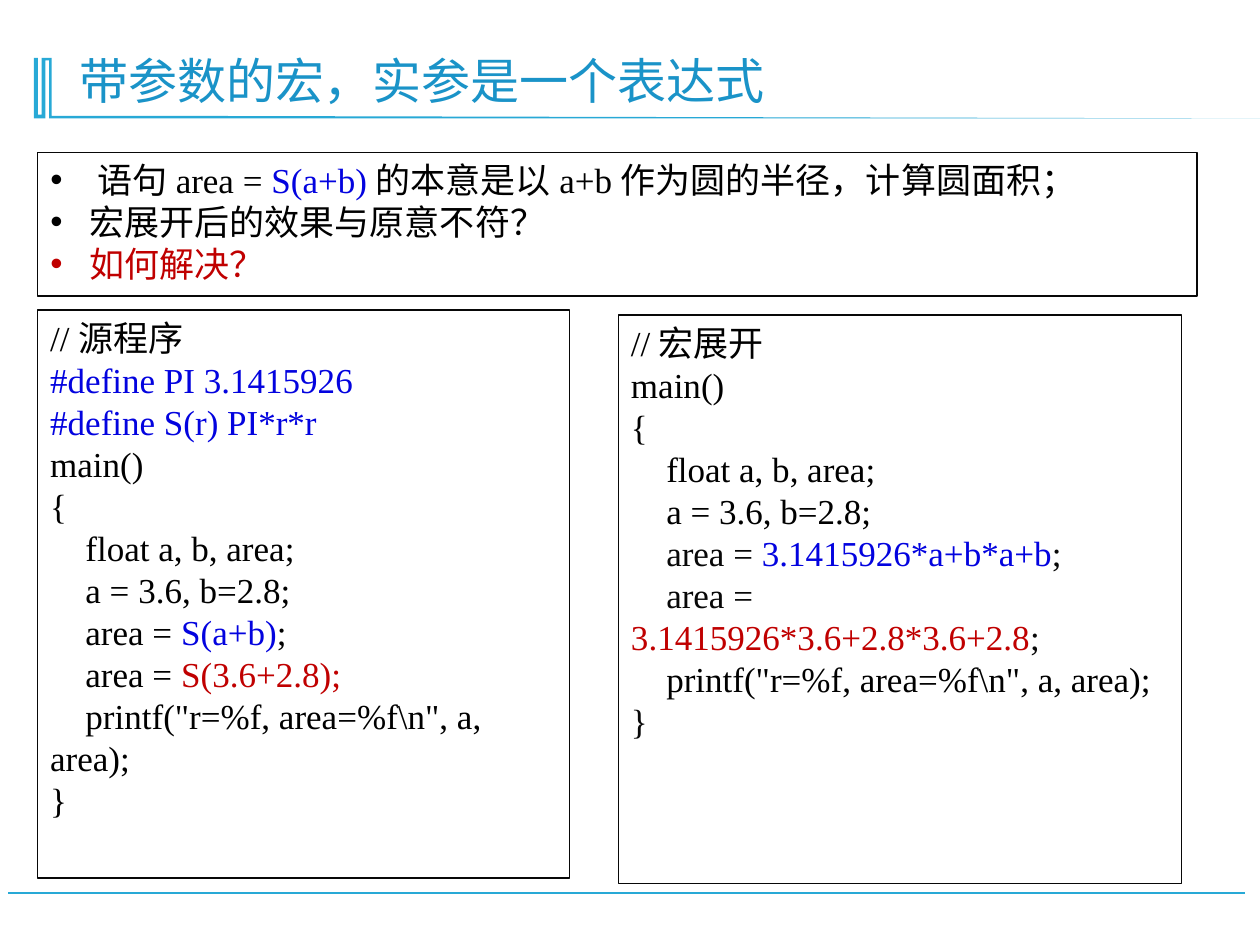
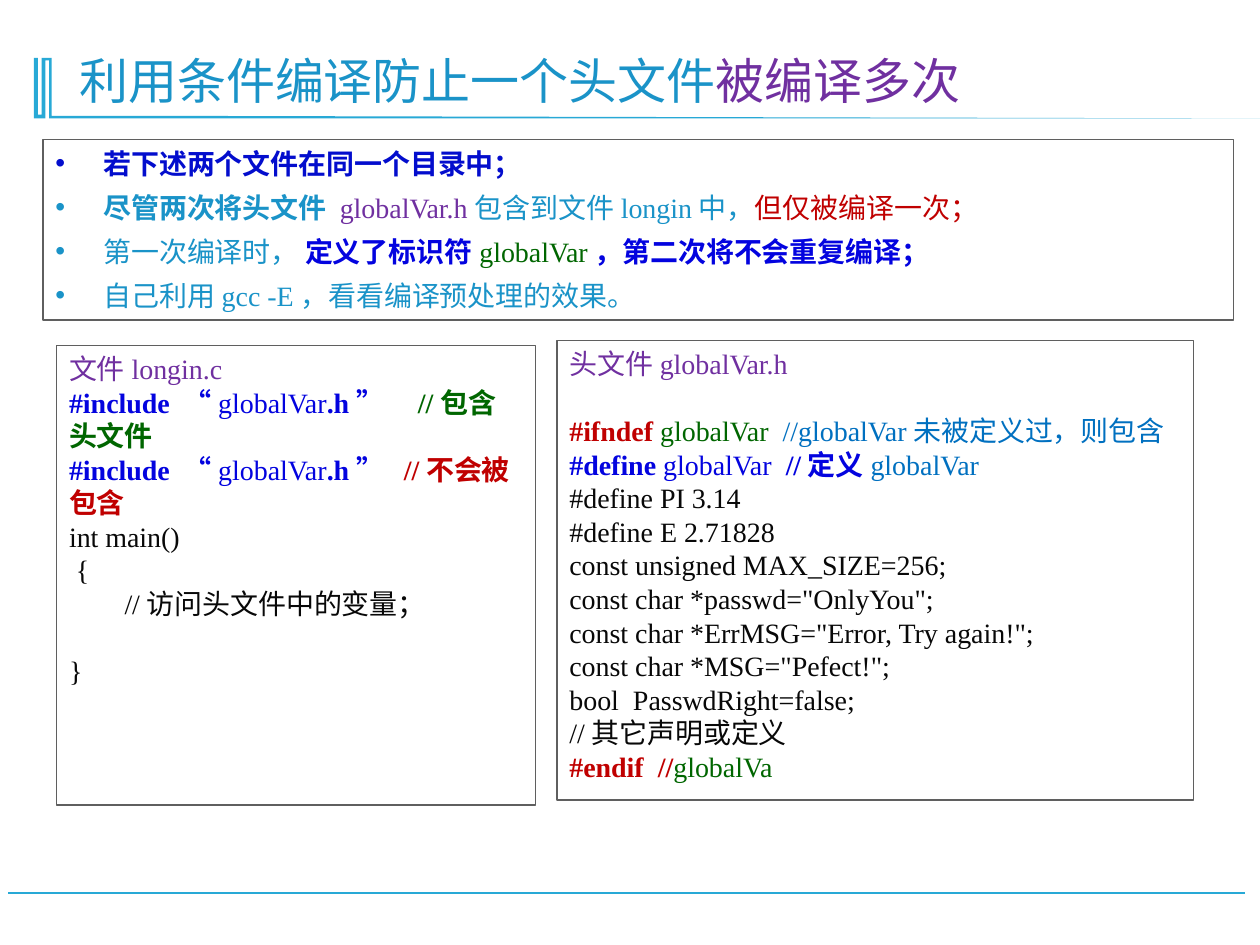
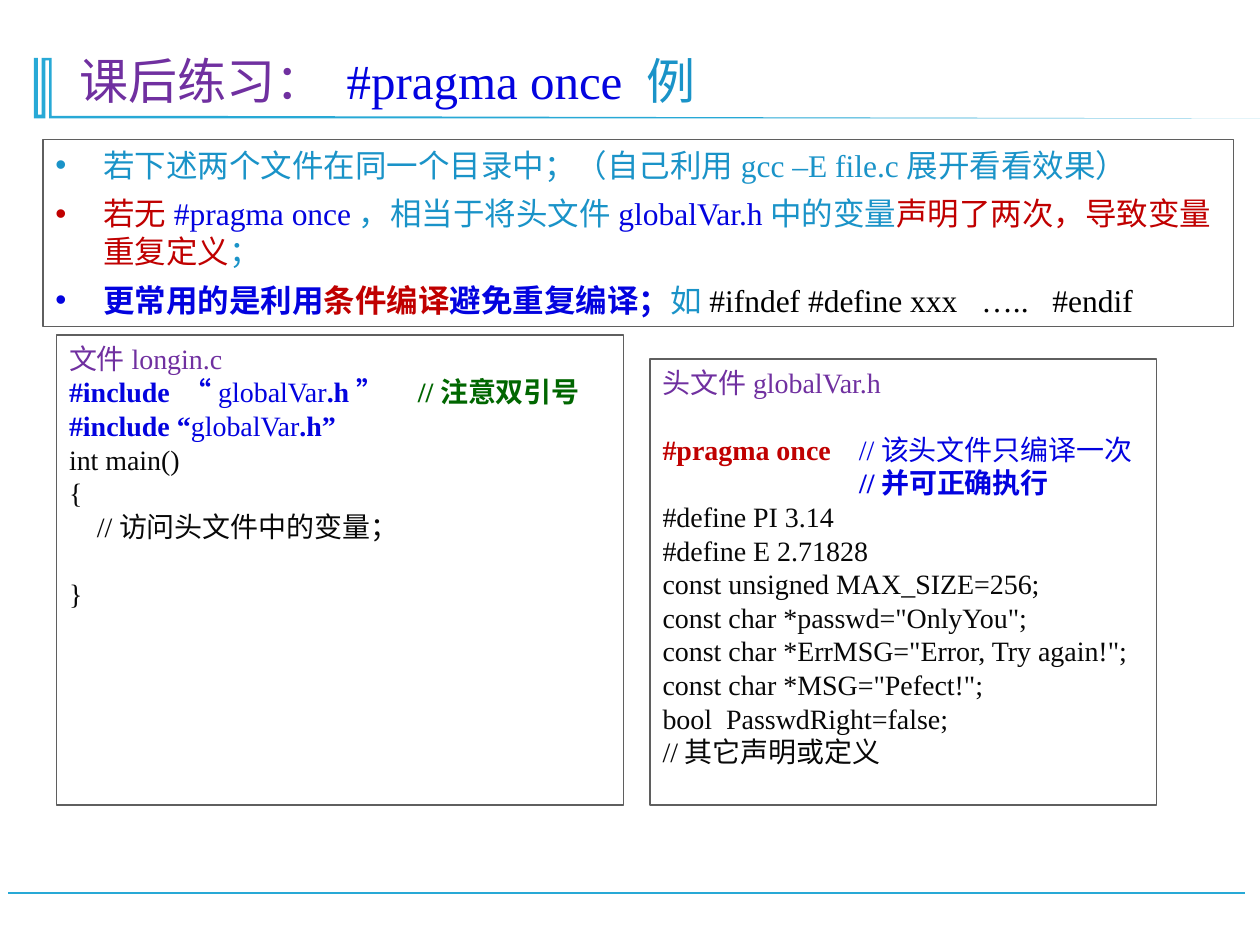
from dataclasses import dataclass

from lxml.etree import SubElement
from pptx import Presentation
from pptx.dml.color import RGBColor as RGB
from pptx.enum.lang import MSO_LANGUAGE_ID as LANG
from pptx.enum.shapes import MSO_CONNECTOR as CONN, MSO_SHAPE as SHAPE
from pptx.enum.text import MSO_ANCHOR as ANCHOR, MSO_AUTO_SIZE as AUTO, PP_ALIGN as ALIGN
from pptx.oxml.ns import qn
from pptx.util import Emu, Inches, Pt

SLIDE_W, SLIDE_H = Inches(10), Inches(7.5)
COLS, ROWS = 100, 75
FONT = "Times New Roman"

TEAL = RGB(0x28, 0xA9, 0xD6)
SKY = RGB(0x1A, 0x93, 0xC8)
BLUE = RGB(0x03, 0x03, 0xDF)
NAVY = RGB(0x03, 0x0D, 0xCD)
AZURE = RGB(0x00, 0x70, 0xC0)
RED = RGB(0xC0, 0x00, 0x00)
GREEN = RGB(0x00, 0x66, 0x00)
PURPLE = RGB(0x70, 0x30, 0xA0)
BLACK = RGB(0x00, 0x00, 0x00)
INK = RGB(0x08, 0x08, 0x08)
GRAY = RGB(0x5F, 0x5F, 0x5F)

BAND = [(41, 46), (41, 92), (140, 92), (1000, 94), (39, 94), (39, 48), (36, 48),
        (36, 94), (27, 94), (27, 46), (30, 46), (30, 91), (33, 91), (33, 46)]
BLANK_LINE = 19.2
SPACE_WIDTH = 0.25


@dataclass
class Para:
    runs: tuple
    indent: float = 0
    hang: float = 0
    before: float = 0


def line(*runs, **layout):
    return Para(runs, **layout)


def code(color, *texts, **layout):
    return [line((t, color), **layout) for t in texts]


def gap(widths, color):
    return " ", color, False, widths


def col(n):
    return Emu(round(SLIDE_W * n / COLS))


def row(n):
    return Emu(round(SLIDE_H * n / ROWS))


def place(sp, x, y, w, h):
    sp.left, sp.top, sp.width, sp.height = col(x), row(y), col(w), row(h)


def add_run(p, size, text, color, bold=False, widths=1):
    r = p.add_run()
    r.text = text
    f = r.font
    f.name, f.size, f.bold = FONT, Pt(size), bold
    f.language_id = LANG.SIMPLIFIED_CHINESE
    f.color.rgb = color
    if widths > 1:
        extra = (widths - 1) * SPACE_WIDTH * size
        r._r.get_or_add_rPr().set("spc", str(round(extra * 100)))


def format_para(p, para):
    p.alignment = ALIGN.LEFT
    p.space_before = Pt(para.before)
    pPr = p._p.get_or_add_pPr()
    pPr.set("marL", str(Inches(para.hang)))
    pPr.set("indent", str(Inches(para.indent - para.hang)))
    if para.hang:
        SubElement(pPr, qn("a:buFont"), typeface="Arial")
        SubElement(pPr, qn("a:buChar"), char="•")
    else:
        SubElement(pPr, qn("a:buNone"))


def write(sp, paras, size, anchor=ANCHOR.TOP):
    tf = sp.text_frame
    tf.word_wrap, tf.auto_size, tf.vertical_anchor = True, AUTO.NONE, anchor
    for i, para in enumerate(paras):
        p = tf.add_paragraph() if i else tf.paragraphs[0]
        format_para(p, para)
        for run in para.runs:
            add_run(p, size, *run)


def outline(sp, color):
    sp.fill.background()
    sp.line.color.rgb = color
    sp.line.width = Pt(0.75)


def add_title(s, *runs):
    sp = s.shapes.title
    place(sp, 5.3, 2.8, 88.5, 6.4)
    write(sp, [line(*runs)], 28, ANCHOR.BOTTOM)
    sp.text_frame.paragraphs[0].line_spacing = 0.9


def add_list(s, box, border, size, items, hang=0.38, before=6):
    sp = s.placeholders[1]
    place(sp, *box)
    outline(sp, border)
    write(sp, [line(*runs, hang=hang, before=before) for runs in items], size)


def add_panel(s, box, border, size, paras):
    sp = s.shapes.add_shape(SHAPE.RECTANGLE, 0, 0, 0, 0)
    sp.shadow.inherit = False
    place(sp, *box)
    outline(sp, border)
    write(sp, paras, size)


def move_to_layout(layout, sp, number):
    sp.element.xpath(".//p:cNvPr")[0].set("id", str(number))
    layout.shapes.element.append(sp.element)


def decorate(layout, s):
    rule = s.shapes.add_connector(CONN.STRAIGHT, col(98.8), row(70.9), col(0.6), row(70.9))
    rule.line.color.rgb = TEAL
    rule.line.width = Pt(1.25)
    SubElement(rule.element.spPr, qn("a:effectLst"))
    builder = s.shapes.build_freeform(*BAND[0], scale=Inches(0.01))
    builder.add_line_segments(BAND[1:], close=True)
    band = builder.convert_to_shape()
    band.shadow.inherit = False
    band.fill.solid()
    band.fill.fore_color.rgb = TEAL
    band.line.fill.background()
    for number, sp in enumerate((rule, band), 101):
        move_to_layout(layout, sp, number)


def include(*comment):
    return line(("#include “", BLUE, True), ("globalVar", BLUE),
                (".h”", BLUE, True), *comment)


def main_function(brace, indent):
    return [*code(INK, "int main()", brace),
            line(("//访问头文件中的变量；", INK), indent=indent),
            line(("}", INK), before=BLANK_LINE)]


def header_body():
    return [*code(INK, "#define PI 3.14", "#define E 2.71828",
                  "const unsigned MAX_SIZE=256;", 'const char *passwd="OnlyYou";',
                  'const char *ErrMSG="Error, Try again!";', 'const char *MSG="Pefect!";'),
            line(("bool", INK), gap(2, INK), ("PasswdRight=false;", INK)),
            *code(INK, "//其它声明或定义")]


def macro_slide(s):
    add_title(s, ("带参数的宏，实参是一个表达式", SKY))
    add_list(s, (3, 12.1, 92, 11.4), INK, 20, [
        [(" 语句area = ", BLACK), ("S(a+b)", BLUE),
         ("的本意是以a+b作为圆的半径，计算圆面积；", BLACK)],
        [("宏展开后的效果与原意不符？", BLACK)],
        [("如何解决？", RED)]], hang=0.31, before=0)
    step = 0.28
    declarations = code(BLACK, "float a, b, area;", "a = 3.6, b=2.8;", indent=step)
    output = line(('printf("r=%f, area=%f\\n", a, area);', BLACK), indent=step)
    add_panel(s, (3, 24.6, 42.2, 45.1), INK, 20, [
        *code(BLACK, "//源程序"),
        *code(BLUE, "#define PI 3.1415926", "#define S(r) PI*r*r"),
        *code(BLACK, "main()", "{"),
        *declarations,
        line(("area = ", BLACK), ("S(a+b)", BLUE), (";", BLACK), indent=step),
        line(("area = ", BLACK), ("S(3.6+2.8);", RED), indent=step),
        output,
        *code(BLACK, "}")])
    add_panel(s, (49.1, 25, 44.7, 45.1), INK, 20, [
        *code(BLACK, "//宏展开", "main()", "{"),
        *declarations,
        line(("area = ", INK), ("3.1415926*a+b*a+b", BLUE), (";", INK), indent=step),
        line(("area = ", INK), ("3.1415926*3.6+2.8*3.6+2.8", RED), (";", INK), indent=step),
        output,
        *code(INK, "}")])


def conditional_slide(s):
    add_title(s, ("利用条件编译防止一个头文件", SKY), ("被编译多次", PURPLE))
    add_list(s, (3.4, 11.1, 94.5, 14.3), GRAY, 16, [
        [("若下述两个文件在同一个目录中；", NAVY, True)],
        [("尽管两次将头文件 ", SKY, True), ("globalVar.h", PURPLE),
         ("包含到文件longin中，", SKY), ("但仅被编译一次；", RED)],
        [("第一次编译时， ", SKY), ("定义了标识符", BLUE, True),
         ("globalVar", GREEN), ("，第二次将不会重复编译；", BLUE, True)],
        [("自己利用gcc -E，看看编译预处理的效果。", SKY)]])
    add_panel(s, (44.2, 27, 50.5, 36.5), GRAY, 16, [
        *code(PURPLE, "头文件globalVar.h"),
        line(("#ifndef ", RED, True), ("globalVar", GREEN), gap(2, GREEN),
             ("//globalVar未被定义过，则包含", AZURE), before=BLANK_LINE),
        line(("#define ", BLUE, True), ("globalVar", BLUE), gap(2, BLUE),
             ("//定义", BLUE, True), ("globalVar", AZURE)),
        *header_body(),
        line(("#endif", RED, True), gap(2, RED), ("//", RED, True), ("globalVa", GREEN))])
    add_panel(s, (4.5, 27.4, 38, 36.5), GRAY, 16, [
        *code(PURPLE, "文件longin.c"),
        include(gap(4, BLUE), ("//包含头文件", GREEN, True)),
        include(gap(2, BLUE), ("//不会被包含", RED, True)),
        *main_function(" {", 0.44)])


def pragma_slide(s):
    add_title(s, ("课后练习： ", PURPLE), ("#pragma once ", BLUE), ("例", SKY))
    add_list(s, (3.4, 11.1, 94.5, 14.8), GRAY, 18, [
        [("若下述两个文件在同一个目录中；（自己利用gcc –E file.c展开看看效果）", SKY)],
        [("若无", RED), ("#pragma once", BLUE), ("，相当于将头文件", SKY),
         ("globalVar.h", BLUE), ("中的变量", SKY),
         ("声明了两次，导致变量重复定义", RED), ("；", SKY)],
        [("更常用的是利用", BLUE, True), ("条件编译", RED, True),
         ("避免重复编译；", BLUE, True), ("如", SKY),
         ("#ifndef #define xxx", BLACK), gap(3, BLACK), ("…..", BLACK),
         gap(3, BLACK), ("#endif", BLACK)]])
    add_panel(s, (51.6, 28.5, 40.2, 35.4), GRAY, 16, [
        *code(PURPLE, "头文件globalVar.h"),
        line(("#pragma once", RED, True), gap(4, RED),
             ("//该头文件只编译一次", BLUE), before=BLANK_LINE),
        line(("//并可正确执行", BLUE, True), indent=1.56),
        *header_body()])
    add_panel(s, (4.5, 26.6, 45, 37.3), GRAY, 16, [
        *code(PURPLE, "文件longin.c"),
        include(gap(4, BLUE), ("//注意双引号", GREEN, True)),
        include(),
        *main_function("{", 0.22)])


def main():
    prs = Presentation()
    prs.slide_width, prs.slide_height = SLIDE_W, SLIDE_H
    layout = prs.slide_layouts[1]
    for i, fill_slide in enumerate((macro_slide, conditional_slide, pragma_slide)):
        s = prs.slides.add_slide(layout)
        if i == 0:
            decorate(layout, s)
        fill_slide(s)
    prs.save("out.pptx")


if __name__ == "__main__":
    main()
